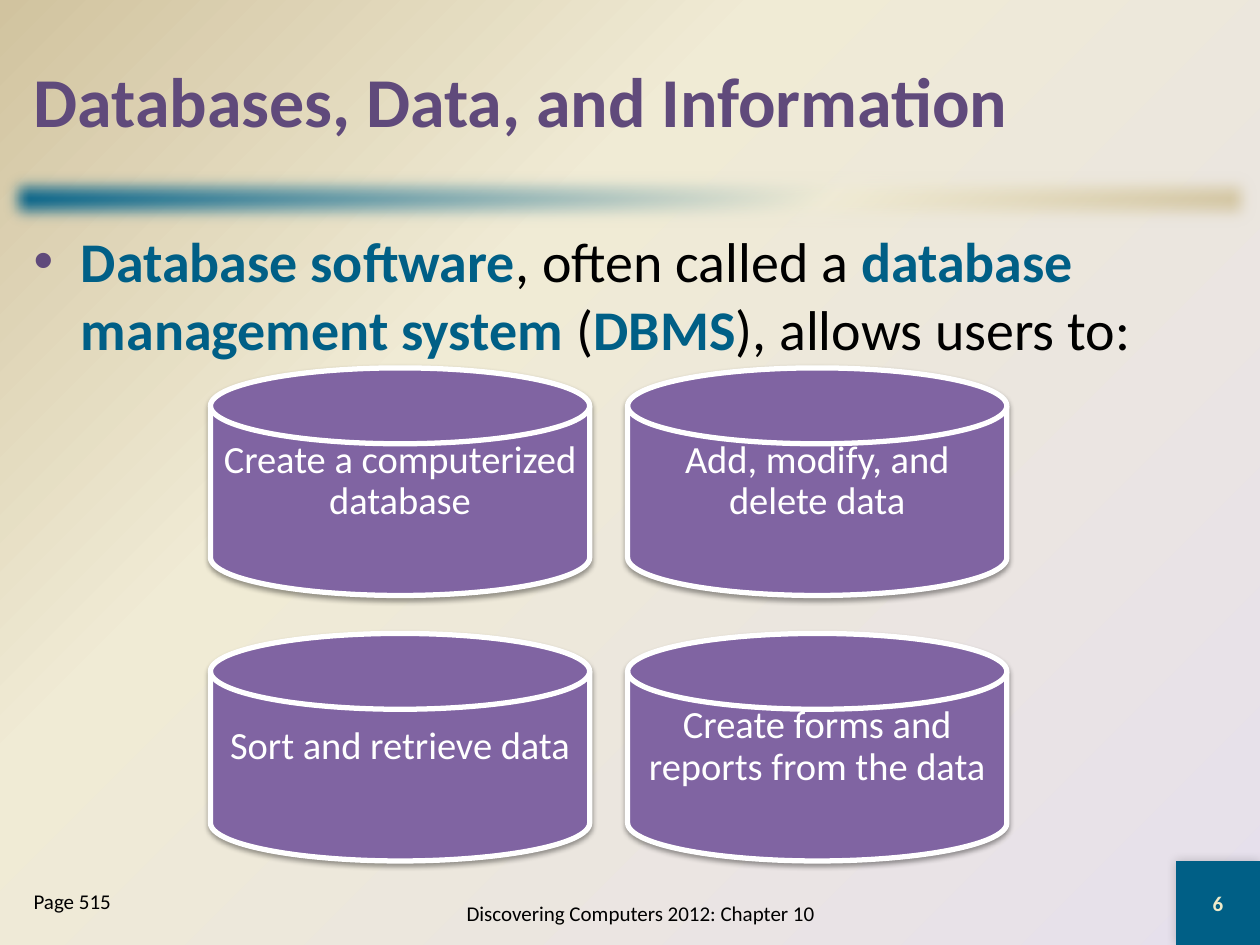
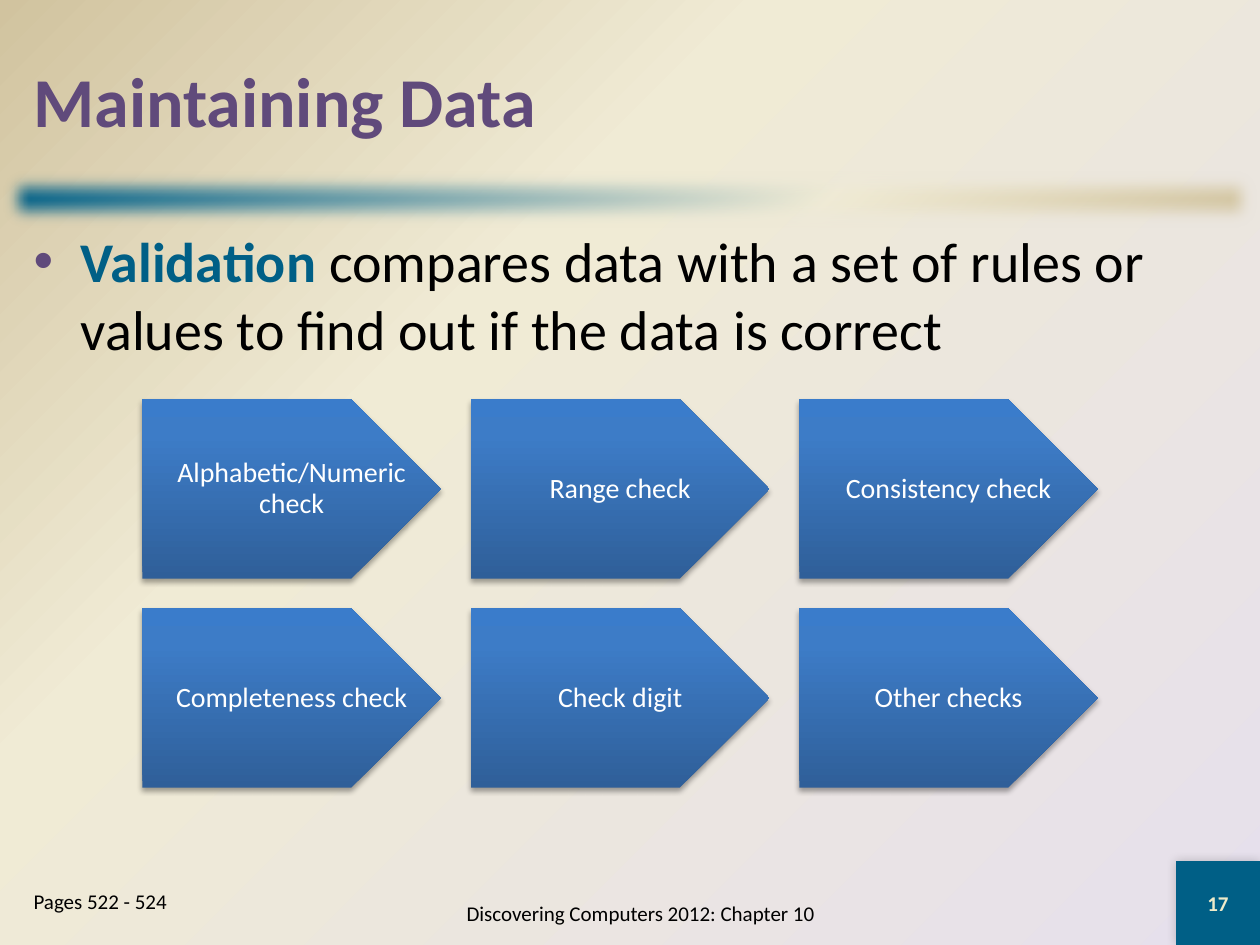
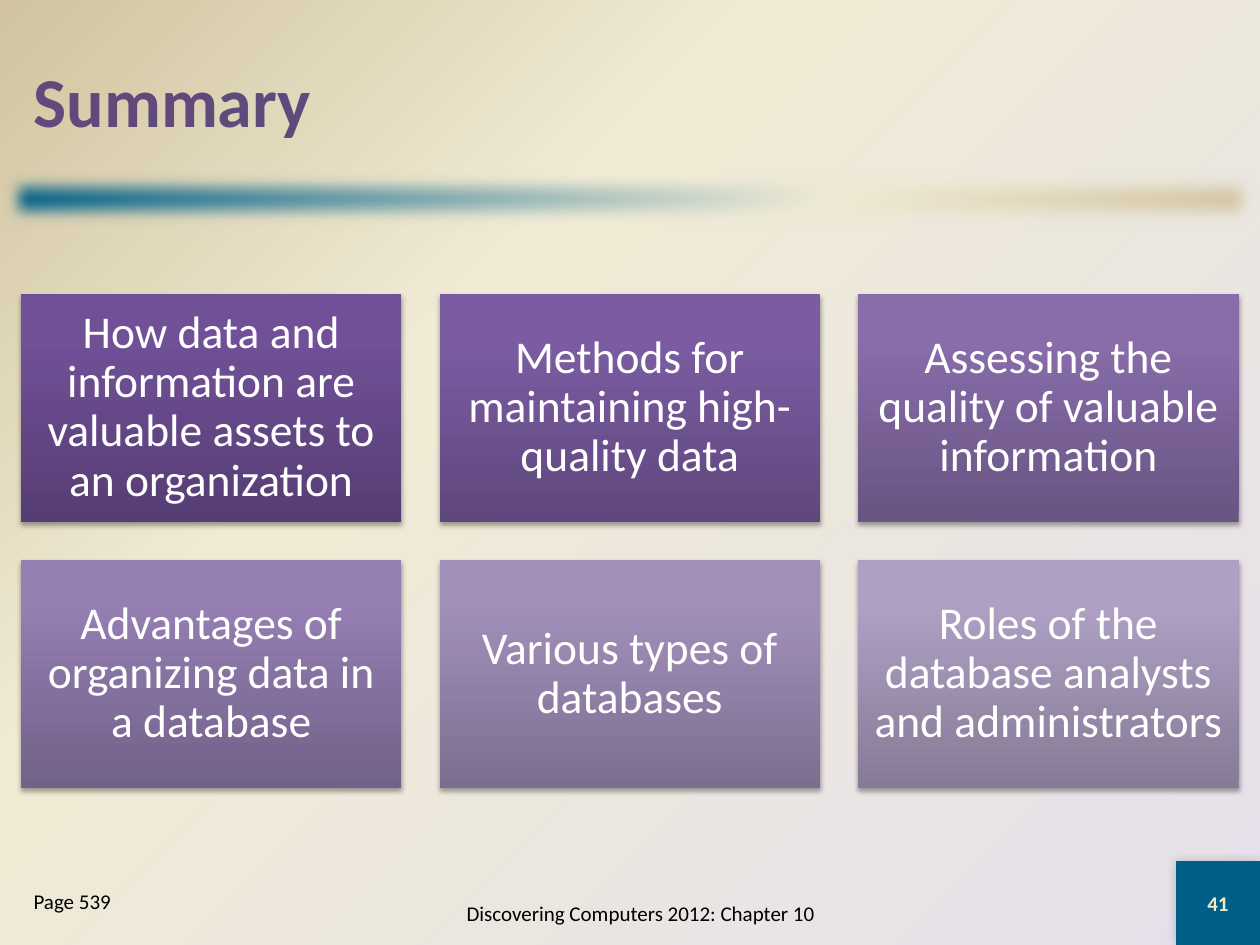
from lxml import etree
from pptx import Presentation
from pptx.dml.color import RGBColor
from pptx.enum.shapes import MSO_SHAPE as SHAPE
from pptx.enum.text import MSO_ANCHOR as ANCHOR, MSO_AUTO_SIZE as AUTO_SIZE, PP_ALIGN as ALIGN
from pptx.oxml.ns import qn
from pptx.util import Inches, Pt

# Theme
FONT = "Calibri"
WHITE = RGBColor(0xFF, 0xFF, 0xFF)
BLACK = RGBColor(0x00, 0x00, 0x00)
TEAL = RGBColor(0x00, 0x5F, 0x86)
CREAM = RGBColor(0xF0, 0xEB, 0xD5)
TAN = RGBColor(0xD1, 0xC3, 0x9F)
LAVENDER = RGBColor(0xE6, 0xE0, 0xEC)
PURPLE = RGBColor(0x60, 0x4A, 0x7B)
DISK_PURPLE = RGBColor(0x80, 0x64, 0xA2)
NUMBER_CREAM = RGBColor(0xEE, 0xEB, 0xCA)
ARROW_BLUES = (RGBColor(0x2F, 0x5F, 0x99), RGBColor(0x3D, 0x7C, 0xC7), RGBColor(0x3A, 0x7C, 0xCB))
CARD_PURPLES = [tuple(RGBColor.from_string(c) for c in shades.split()) for shades in (
    "563D74 705097 704F99", "5F477D 7B5CA3 7C5BA5", "695483 886DAA 886DAC",
    "726189 947EB2 957EB4", "7C6E8F A18FBA A18FBC", "867B96 AE9FC3 AE9FC4")]

# Frame, in inches
WIDTH, HEIGHT = 10, 7.5
MARGIN = WIDTH / 60
CORNER = WIDTH / 15
CORNER_BOX = (WIDTH - CORNER, HEIGHT - CORNER, CORNER, CORNER)
TITLE_BOX = (MARGIN, MARGIN, WIDTH - 2 * MARGIN, 1.25)
BODY_BOX = (MARGIN, 1.75, WIDTH - 2 * MARGIN, 5.08)
PAGE_BOX = (MARGIN, 7, 1.83, 0.5)
FOOTER_BOX = (3, 7, 4.17, 0.5)
FOOTER = "Discovering Computers 2012: Chapter 10"
INDENT = Inches(0.375)


def add_child(parent, tag, **attrs):
    return etree.SubElement(parent, qn(tag), {k: str(v) for k, v in attrs.items()})


def set_gradient(fill, root, colors, middle, angle=None):
    """Three stops; linear at an angle, or spreading from the bottom right corner."""
    fill.gradient()
    grad = next(root.iter(qn("a:gradFill")))
    for child in list(grad):
        grad.remove(child)
    stops = add_child(grad, "a:gsLst")
    for pos, color in zip((0, middle, 100), colors):
        add_child(add_child(stops, "a:gs", pos=pos * 1000), "a:srgbClr", val=color)
    if angle is None:
        route = add_child(grad, "a:path", path="circle")
        add_child(route, "a:fillToRect", l=100000, t=100000)
    else:
        add_child(grad, "a:lin", ang=angle * 60000, scaled=0)


def effects(s):
    s.shadow.inherit = False
    return next(s.element.iter(qn("a:effectLst")))


def add_shadow(s, alpha, blur, dist, angle):
    shadow = add_child(effects(s), "a:outerShdw", blurRad=Pt(blur), dist=Pt(dist),
                       dir=angle * 60000, rotWithShape=0)
    add_child(add_child(shadow, "a:srgbClr", val=BLACK), "a:alpha", val=alpha * 1000)


def inches(box):
    return [Inches(v) for v in box]


def place(s, box):
    s.left, s.top, s.width, s.height = inches(box)


def add_plain_shape(s_tree, kind, box):
    s = s_tree.add_shape(kind, *inches(box))
    s.line.fill.background()
    return s


def style(p, size, color=None, bold=False):
    p.font.name, p.font.size, p.font.bold = FONT, Pt(size), bold
    if color is not None:
        p.font.color.rgb = color


def add_label(slide, box, text, size, color, bold=False, inset=None, spacing=None):
    tf = slide.shapes.add_textbox(*inches(box)).text_frame
    tf.word_wrap = True
    tf.vertical_anchor = ANCHOR.MIDDLE
    if inset is not None:
        tf.margin_left = tf.margin_right = tf.margin_top = tf.margin_bottom = inset
    p = tf.paragraphs[0]
    p.text, p.alignment = text, ALIGN.CENTER
    if spacing:
        p.line_spacing = spacing
    style(p, size, color, bold)


def fill_placeholder(s, box, anchor=ANCHOR.TOP):
    place(s, box)
    tf = s.text_frame
    tf.auto_size, tf.word_wrap, tf.vertical_anchor = AUTO_SIZE.NONE, True, anchor
    p = tf.paragraphs[0]
    p.alignment, p.space_before = ALIGN.LEFT, Pt(0)
    return p


def decorate_master(prs, slide):
    """Background, soft title band and number square for all slides."""
    master = prs.slide_master
    set_gradient(master.background.fill, master.element, (LAVENDER, CREAM, TAN), 65)
    band = add_plain_shape(slide.shapes, SHAPE.RECTANGLE, (0, 1.33, WIDTH, 0.5))
    set_gradient(band.fill, band.element, (TEAL, CREAM, TAN), 65, 45)
    add_child(effects(band), "a:softEdge", rad=Pt(10))
    square = add_plain_shape(slide.shapes, SHAPE.RECTANGLE, CORNER_BOX)
    square.fill.solid()
    square.fill.fore_color.rgb = TEAL
    add_shadow(square, 20, 6, 0, 225)
    for n, s in enumerate((band, square)):
        s.element.nvSpPr.cNvPr.id = 100 + n
        master.shapes.element.insert(2 + n, s.element)


def add_slide(prs, layout, title, number, page):
    slide = prs.slides.add_slide(prs.slide_layouts.get_by_name(layout))
    p = fill_placeholder(slide.shapes.title, TITLE_BOX, ANCHOR.MIDDLE)
    p.text = title
    style(p, 40, PURPLE, True)
    # The last placeholder holds the page reference
    p = fill_placeholder(list(slide.placeholders)[-1], PAGE_BOX)
    p.text = page
    pPr = p._p.get_or_add_pPr()
    pPr.set("marL", "0")
    pPr.set("indent", "0")
    add_child(pPr, "a:buNone")
    style(p, 12, BLACK)
    add_label(slide, FOOTER_BOX, FOOTER, 12, BLACK)
    add_label(slide, CORNER_BOX, number, 12, NUMBER_CREAM, True)
    return slide


def add_bullet(slide, parts):
    """Parts alternate between key terms and plain text."""
    p = fill_placeholder(slide.placeholders[1], BODY_BOX)
    pPr = p._p.get_or_add_pPr()
    pPr.set("marL", str(INDENT))
    pPr.set("indent", str(-INDENT))
    add_child(add_child(pPr, "a:buClr"), "a:srgbClr", val=PURPLE)
    add_child(pPr, "a:buFont", typeface="Arial")
    add_child(pPr, "a:buChar", char="•")
    style(p, 32)
    for i, text in enumerate(parts):
        r = p.add_run()
        r.text = text
        r.font.bold = i % 2 == 0
        r.font.color.rgb = TEAL if r.font.bold else BLACK


def add_grid(slide, kind, left, top, width, columns, size, labels, paint):
    """Cells are 0.6 as high as wide, with gaps of a tenth of the width."""
    height, gap = width * 0.6, width * 0.1
    for i, text in enumerate(labels):
        row, col = divmod(i, columns)
        box = (left + col * (width + gap), top + row * (height + gap), width, height)
        s = add_plain_shape(slide.shapes, kind, box)
        paint(s, i)
        add_label(slide, box, text, size, WHITE, inset=Pt(size * 0.3), spacing=0.9)


def paint_disk(s, i):
    s.fill.solid()
    s.fill.fore_color.rgb = DISK_PURPLE
    s.line.color.rgb, s.line.width = WHITE, Pt(3)
    add_shadow(s, 38, 3.1, 1.6, 90)


def paint_shaded(s, colors):
    set_gradient(s.fill, s.element, colors, 80, 270)
    add_shadow(s, 35, 3.1, 1.8, 90)


def paint_arrow(s, i):
    paint_shaded(s, ARROW_BLUES)


def paint_card(s, i):
    paint_shaded(s, CARD_PURPLES[i])


def main():
    prs = Presentation()
    prs.slide_width, prs.slide_height = Inches(WIDTH), Inches(HEIGHT)

    # Database software
    slide = add_slide(prs, "Two Content", "Databases, Data, and Information", "6", "Page 515")
    decorate_master(prs, slide)
    add_bullet(slide, ["Database software", ", often called a ", "database management system ",
                       "(", "DBMS", "), allows users to:"])
    add_grid(slide, SHAPE.FLOWCHART_MAGNETIC_DISK, 1.67, 2.92, 3.01, 2, 22, [
        "Create a computerized database", "Add, modify, and delete data",
        "Sort and retrieve data", "Create forms and reports from the data"], paint_disk)

    # Validation checks
    slide = add_slide(prs, "Two Content", "Maintaining Data", "17", "Pages 522 - 524")
    add_bullet(slide, ["Validation", " compares data with a set of rules or values "
                       "to find out if the data is correct"])
    add_grid(slide, SHAPE.PENTAGON, 1.13, 3.17, 2.37, 3, 16, [
        "Alphabetic/Numeric check", "Range check", "Consistency check",
        "Completeness check", "Check digit", "Other checks"], paint_arrow)

    # Summary
    slide = add_slide(prs, "Title and Content", "Summary", "41", "Page 539")
    add_grid(slide, SHAPE.RECTANGLE, MARGIN, 2.33, 3.02, 3, 26, [
        "How data and information are valuable assets to an organization",
        "Methods for maintaining high-quality data",
        "Assessing the quality of valuable information",
        "Advantages of organizing data in a database",
        "Various types of databases",
        "Roles of the database analysts and administrators"], paint_card)

    prs.save("out.pptx")


if __name__ == "__main__":
    main()
